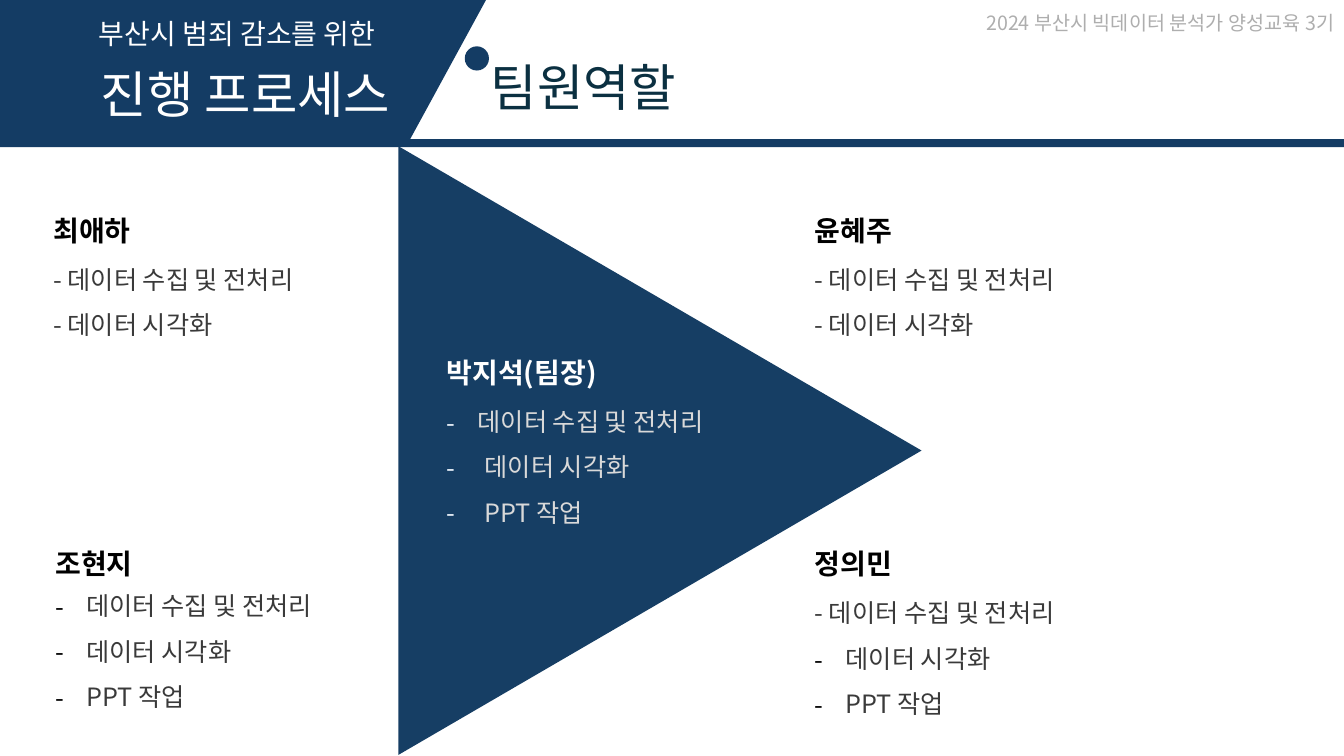
import pptx
import pptx.util
import pptx.dml.color
import pptx.enum.shapes
import pptx.enum.text
import pptx.oxml
import pptx.oxml.ns
from lxml import etree

Inches = pptx.util.Inches
SHAPE = pptx.enum.shapes.MSO_SHAPE
ALIGN = pptx.enum.text.PP_ALIGN
FONT = "Noto Sans CJK KR"
COLORS = {
    "navy": "143C64", "wedge": "163E64", "title": "0B3041",
    "white": "FFFFFF", "black": "000000", "task": "3A3A3A",
    "pale": "D9D9D9", "dash": "EAF2FA", "gray": "AEAEAE",
}
COLLECT, CHART, DECK = "데이터 수집 및 전처리", "데이터 시각화", "PPT 작업"

# name, left, top, offset and height of tasks, tasks as (text, indent);
# an indent of 0 means the dash is typed in the text
MEMBERS = [
    ("조현지", 0.45, 5.21, 0.45, 1.46,
     [(COLLECT, 0.31), (CHART, 0.31), (DECK, 0.31)]),
    ("최애하", 0.43, 1.9, 0.52, 1.01,
     [("- " + COLLECT, 0), ("- " + CHART, 0)]),
    ("윤혜주", 7.98, 1.9, 0.52, 1.01,
     [("- " + COLLECT, 0), ("- " + CHART, 0)]),
    ("정의민", 7.98, 5.21, 0.52, 1.41,
     [("- " + COLLECT, 0), (CHART, 0.31), (DECK, 0.31)]),
]
LEADER = ("박지석(팀장)", 4.33, 3.31, 0.52, 1.46,
          [(COLLECT, 0.31), (CHART, 0.38), (DECK, 0.38)])


def rgb(key):
    return pptx.dml.color.RGBColor.from_string(COLORS[key])


def paint(shape, key):
    shape.shadow.inherit = False
    shape.fill.solid()
    shape.fill.fore_color.rgb = rgb(key)
    shape.line.fill.background()


def add_text(slide, box, lines, size, key, bold=False, spacing=None):
    """Add a text box with one paragraph per line and return its paragraphs."""
    frame = slide.shapes.add_textbox(*map(Inches, box)).text_frame
    frame.word_wrap = True
    frame.auto_size = pptx.enum.text.MSO_AUTO_SIZE.SHAPE_TO_FIT_TEXT
    frame.text = "\n".join(lines)
    for para in frame.paragraphs:
        if spacing:
            para.line_spacing = spacing
        for run in para.runs:
            font = run.font
            font.size = pptx.util.Pt(size)
            font.bold = bold
            font.color.rgb = rgb(key)
            font.name = FONT
            east = etree.SubElement(font._element, pptx.oxml.ns.qn("a:ea"))
            east.set("typeface", FONT)
    return frame.paragraphs


def add_dash(para, indent, key):
    """Give a paragraph a hanging dash bullet."""
    qn = pptx.oxml.ns.qn
    props = para._p.get_or_add_pPr()
    props.set("marL", str(Inches(indent)))
    props.set("indent", str(-Inches(indent)))
    color = etree.SubElement(props, qn("a:buClr"))
    etree.SubElement(color, qn("a:srgbClr")).set("val", COLORS[key])
    etree.SubElement(props, qn("a:buFont")).set("typeface", FONT)
    etree.SubElement(props, qn("a:buChar")).set("char", "-")


def add_member(slide, member, name_key, task_key, dash_key):
    name, left, top, drop, height, tasks = member
    add_text(slide, (left, top, 1.92, 0.6), [name], 20, name_key, True, 1.5)
    paras = add_text(slide, (left, top + drop, 5.3, height),
                     [text for text, _ in tasks], 18, task_key, spacing=1.5)
    for para, (_, indent) in zip(paras, tasks):
        if indent:
            add_dash(para, indent, dash_key)


def add_wedge(slide, left, top, width, height):
    """Add a triangle that points right and fills the given box."""
    wedge = slide.shapes.add_shape(
        SHAPE.ISOSCELES_TRIANGLE,
        Inches(left + (width - height) / 2), Inches(top + (height - width) / 2),
        Inches(height), Inches(width))
    wedge.rotation = 90
    paint(wedge, "wedge")


def add_header(slide, left, top, width):
    shapes = slide.shapes
    edge = [(4.82, 0), (4.03, 1.45), (0, 1.42)]
    build = shapes.build_freeform(Inches(left), Inches(top))
    build.add_line_segments(
        [(Inches(left + x), Inches(top + y)) for x, y in edge], close=True)
    paint(build.convert_to_shape(), "navy")

    for kind, x, y, wide, high in [
        (SHAPE.RECTANGLE, 0, 1.38, width, 0.08),
        (SHAPE.OVAL, 4.61, 0.46, 0.24, 0.24),
    ]:
        paint(shapes.add_shape(kind, Inches(left + x), Inches(top + y),
                               Inches(wide), Inches(high)), "navy")

    for text, x, y, wide, high, size, key in [
        ("팀원역할", 4.77, 0.51, 2.16, 0.71, 36, "title"),
        ("부산시 범죄 감소를 위한", 0.88, 0.11, 3.73, 0.44, 20, "white"),
        ("진행 프로세스", 0.9, 0.58, 3.46, 0.71, 36, "white"),
    ]:
        add_text(slide, (left + x, top + y, wide, high), [text], size, key)

    course = add_text(slide, (left + width - 6.69, top + 0.06, 6.69, 0.34),
                      ["2024 부산시 빅데이터 분석가 양성교육 3기"], 14, "gray")
    course[0].alignment = ALIGN.RIGHT


def main():
    deck = pptx.Presentation()
    deck.slide_width, deck.slide_height = Inches(13.33), Inches(7.5)
    slide = deck.slides.add_slide(deck.slide_layouts[6])
    add_wedge(slide, 3.95, 1.45, 5.19, 6.04)
    add_header(slide, 0, 0, 13.33)
    for member in MEMBERS:
        add_member(slide, member, "black", "task", "black")
    add_member(slide, LEADER, "white", "pale", "dash")
    deck.save("out.pptx")


if __name__ == "__main__":
    main()
